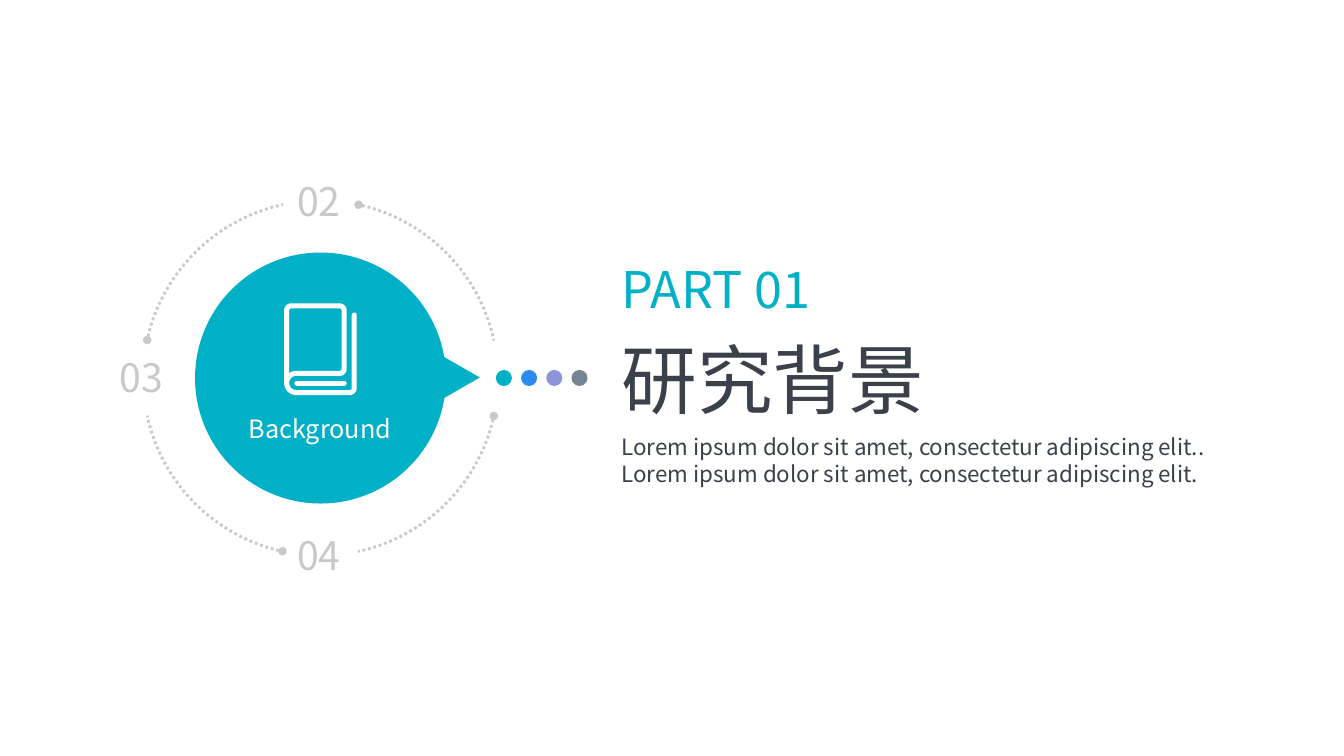
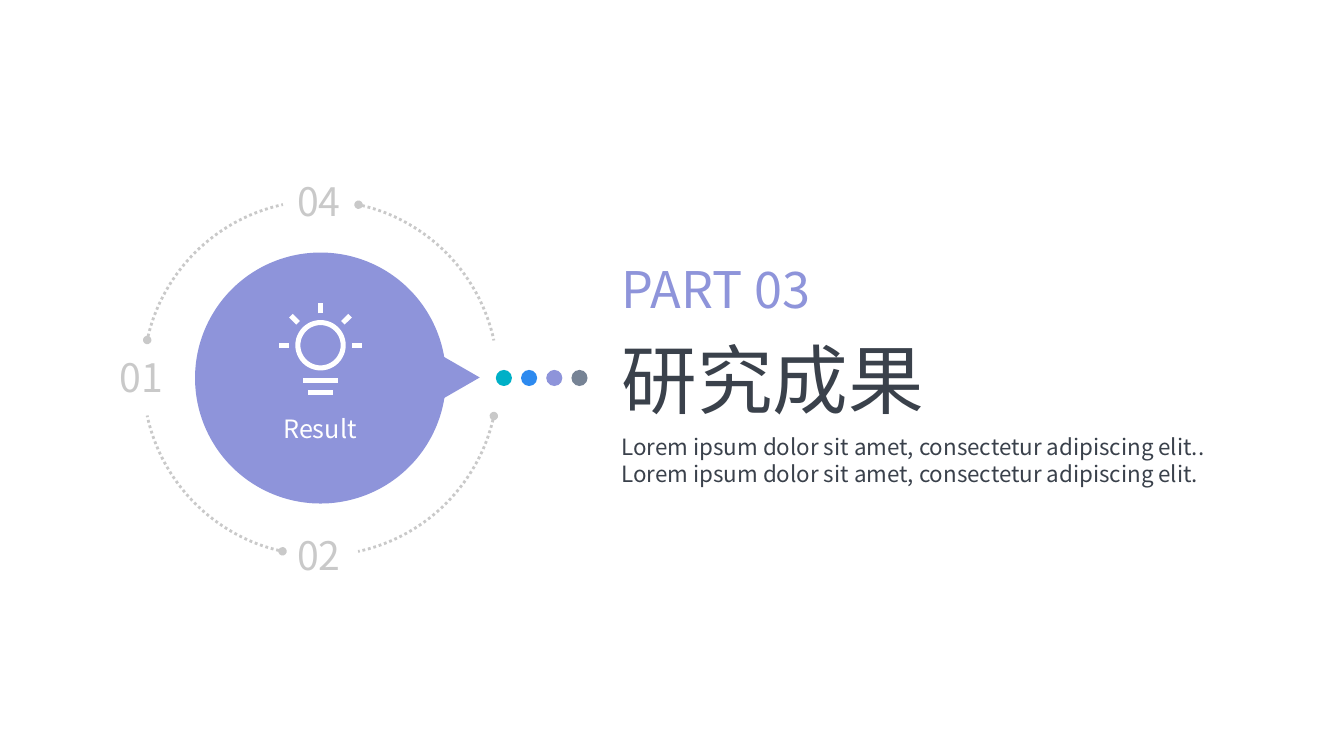
from math import cos, radians, sin

from lxml import etree
from pptx import Presentation
from pptx.dml.color import RGBColor
from pptx.enum.dml import MSO_LINE
from pptx.enum.shapes import MSO_CONNECTOR, MSO_SHAPE
from pptx.enum.text import MSO_AUTO_SIZE, PP_ALIGN
from pptx.oxml.ns import qn
from pptx.util import Emu, Pt

PX = 4572
FONT = "Noto Sans CJK SC"
TEAL, BLUE, PURPLE, SLATE = "00B0C7", "2D8AEF", "8E94DA", "768395"
GREY, INK, WHITE = "C9C9C9", "3A414B", "FFFFFF"
CENTER_X, CENTER_Y = 636, 750
ICON_STROKE = 3.6
ARC_START, ARC_END = 282.37, 347.79
DESCRIPTION = (
    "Lorem ipsum dolor sit amet, consectetur adipiscing elit.. "
    "Lorem ipsum dolor sit amet, consectetur adipiscing elit."
)


def px(value):
    return Emu(round(value * PX))


def color(value):
    return RGBColor.from_string(value)


def add_preset(slide, kind, left, top, width, height, fill=None):
    shape = slide.shapes.add_shape(kind, px(left), px(top), px(width), px(height))
    shape.shadow.inherit = False
    shape.line.fill.background()
    if fill:
        shape.fill.solid()
        shape.fill.fore_color.rgb = color(fill)
    else:
        shape.fill.background()
    return shape


def add_circle(slide, center_x, center_y, radius, fill=None):
    return add_preset(
        slide, MSO_SHAPE.OVAL, center_x - radius, center_y - radius,
        2 * radius, 2 * radius, fill,
    )


def style_line(shape, line_color, width):
    shape.line.color.rgb = color(line_color)
    shape.line.width = Pt(width)


def add_stroke(slide, start_x, start_y, end_x, end_y):
    connector = slide.shapes.add_connector(
        MSO_CONNECTOR.STRAIGHT, px(start_x), px(start_y), px(end_x), px(end_y)
    )
    style_line(connector, WHITE, ICON_STROKE)
    etree.SubElement(connector._element.spPr, qn("a:effectLst"))
    return connector


def round_ends(shape):
    shape.line._get_or_add_ln().set("cap", "rnd")


def add_text(slide, text, left, top, width, height, size, text_color,
             wrap=True, align=PP_ALIGN.LEFT):
    box = slide.shapes.add_textbox(px(left), px(top), px(width), px(height))
    frame = box.text_frame
    frame.word_wrap = wrap
    frame.auto_size = MSO_AUTO_SIZE.SHAPE_TO_FIT_TEXT
    paragraph = frame.paragraphs[0]
    paragraph.alignment = align
    run = paragraph.add_run()
    run.text = text
    run.font.name = FONT
    run.font.size = Pt(size)
    run.font.color.rgb = color(text_color)
    east_asian = etree.SubElement(run._r.get_or_add_rPr(), qn("a:ea"))
    east_asian.set("typeface", FONT)


def add_dotted_arc(slide, rotation):
    radius = 352
    arc = add_preset(
        slide, MSO_SHAPE.ARC, CENTER_X - radius, CENTER_Y - radius,
        2 * radius, 2 * radius,
    )
    arc.adjustments[0] = ARC_START * 0.6
    arc.adjustments[1] = ARC_END * 0.6
    arc.rotation = rotation
    style_line(arc, GREY, 2)
    arc.line.dash_style = MSO_LINE.ROUND_DOT
    head = etree.SubElement(arc.line._get_or_add_ln(), qn("a:headEnd"))
    head.set("type", "oval")


def polar(center_x, center_y, radius, angle):
    return (center_x + radius * cos(radians(angle)),
            center_y + radius * sin(radians(angle)))


def add_book(slide):
    corners = [
        (694, 770, 9, 0, 90),
        (588, 760, 19, 90, 180),
        (578, 616, 9, 180, 270),
        (674, 616, 9, 270, 360),
        (674, 732, 9, 0, 90),
        (588, 760, 19, 270, 180),
    ]
    steps = 12
    points = [
        polar(x, y, radius, start + (end - start) * step / steps)
        for x, y, radius, start, end in corners
        for step in range(steps + 1)
    ]
    builder = slide.shapes.build_freeform(px(703), px(625), scale=1.0)
    builder.add_line_segments([(px(x), px(y)) for x, y in points], close=False)
    outline = builder.convert_to_shape()
    outline.shadow.inherit = False
    outline.fill.background()
    style_line(outline, WHITE, ICON_STROKE)
    round_ends(outline)
    round_ends(add_stroke(slide, 589, 760, 683, 760))


def add_bulb(slide):
    bulb_y = 685
    style_line(add_circle(slide, CENTER_X, bulb_y, 45), WHITE, ICON_STROKE)
    for angle in range(180, 361, 45):
        add_stroke(slide, *polar(CENTER_X, bulb_y, 63, angle),
                   *polar(CENTER_X, bulb_y, 83, angle))
    for half_width, y in ((34, 755), (24, 779)):
        add_stroke(slide, CENTER_X - half_width, y, CENTER_X + half_width, y)


def add_section(presentation, part, title, label, accent, neighbours, add_icon):
    slide = presentation.slides.add_slide(presentation.slide_layouts[6])
    add_circle(slide, CENTER_X, CENTER_Y, 249, accent)
    for rotation in range(0, 360, 90):
        add_dotted_arc(slide, rotation)
    for number, (left, top) in zip(neighbours, ((570, 342), (218, 692), (570, 1044))):
        add_text(slide, number, left, top, 132, 114, 28, GREY, wrap=False)
    pointer = add_preset(slide, MSO_SHAPE.ISOSCELES_TRIANGLE, 782, 670, 182, 158, accent)
    pointer.rotation = 90
    add_icon(slide)
    add_text(slide, label, 466, 810, 338, 80, 18, WHITE, align=PP_ALIGN.CENTER)
    for index, dot_color in enumerate((TEAL, BLUE, PURPLE, SLATE)):
        add_circle(slide, 1000 + 50 * index, CENTER_Y, 16, dot_color)
    add_text(slide, part, 1214, 502, 438, 142, 36, accent, wrap=False)
    add_text(slide, title, 1214, 650, 788, 202, 54, INK)
    add_text(slide, DESCRIPTION, 1214, 850, 1260, 128, 16, INK)


def main():
    presentation = Presentation()
    presentation.slide_width = px(2667)
    presentation.slide_height = px(1500)
    add_section(presentation, "PART 01", "研究背景", "Background", TEAL,
                ("02", "03", "04"), add_book)
    add_section(presentation, "PART 03", "研究成果", "Result", PURPLE,
                ("04", "01", "02"), add_bulb)
    presentation.save("out.pptx")


if __name__ == "__main__":
    main()
